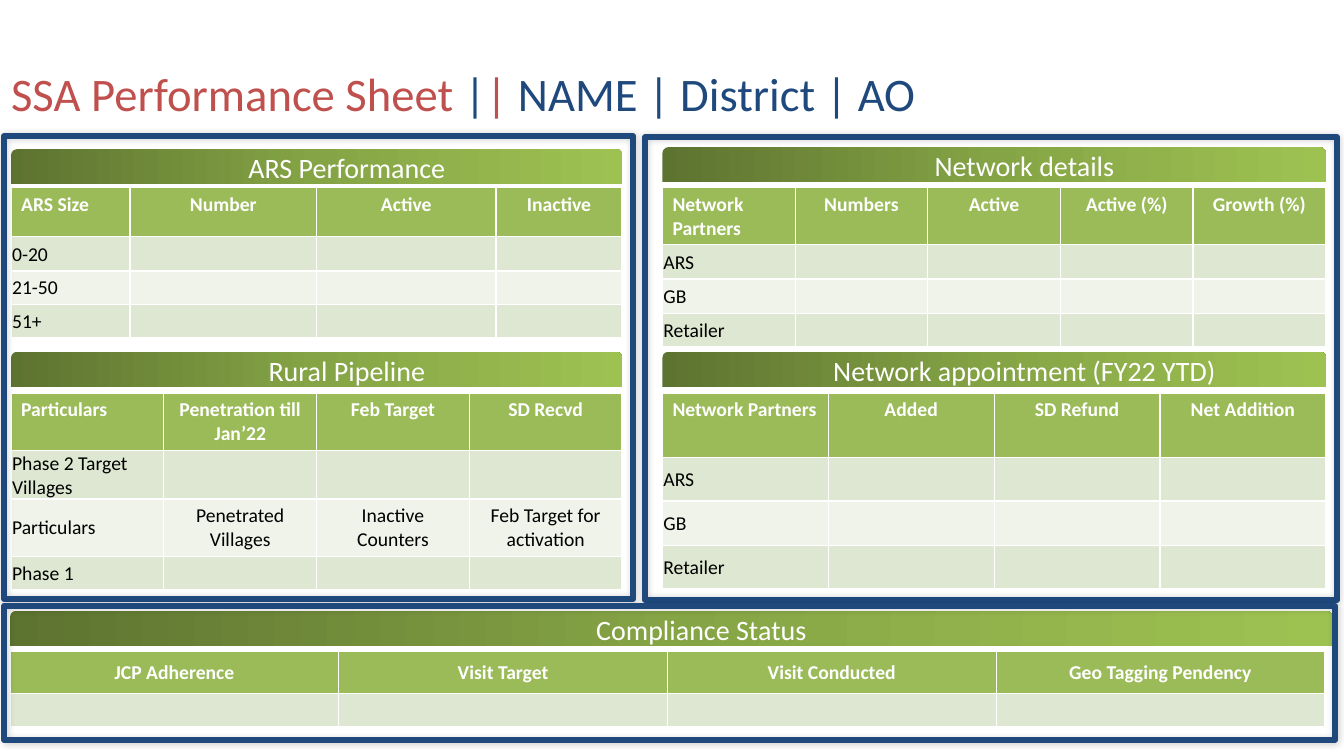
from copy import deepcopy
from lxml import etree
from pptx import Presentation
from pptx import util as u
from pptx.dml.color import RGBColor
from pptx.enum import shapes, text
from pptx.oxml.ns import qn

HUES = {"red": "C0504D", "navy": "1F497D", "head": "9BBB59", "odd": "DEE7D1",
        "even": "EFF3EA", "white": "FFFFFF", "black": "000000",
        "dark": "5D7330", "mid": "85A445", "light": "9EC252"}


def px(n):
    return u.Emu(n * 9144)


def hue(name):
    return RGBColor.from_string(HUES[name])


def put(para, words, size=14, color="black", bold=False, mid=False):
    run = para.add_run()
    run.text = words
    run.font.name = "Calibri"
    run.font.size = u.Pt(size)
    run.font.bold = bold
    run.font.color.rgb = hue(color)
    if mid:
        para.alignment = text.PP_ALIGN.CENTER


def inset(box, *pads):
    for side, pad in zip(("left", "top", "right", "bottom"), pads):
        setattr(box, f"margin_{side}", px(pad))
    box.vertical_anchor = text.MSO_ANCHOR.MIDDLE


def title(slide):
    box = slide.shapes.add_textbox(px(11), px(62), px(1200), px(60)).text_frame
    box.word_wrap = True
    inset(box, 0, 0, 0, 0)
    for words, color in (("SSA Performance Sheet ", "red"), ("|", "navy"),
                         ("|", "red"), (" NAME | District | AO", "navy")):
        put(box.paragraphs[0], words, size=33.3, color=color)


def banner(slide, words, x, y, w):
    bar = slide.shapes.add_shape(shapes.MSO_SHAPE.ROUND_2_SAME_RECTANGLE,
                                 px(x), px(y), px(w), px(35))
    bar.shadow.inherit = False
    bar.line.fill.background()
    bar.fill.gradient()
    bar.fill.gradient_angle = 0
    stops = bar.element.spPr.find(".//" + qn("a:gsLst"))
    stops.insert(1, deepcopy(stops[0]))
    marks = ((0, "dark"), (0.5, "mid"), (1, "light"))
    for stop, (place, color) in zip(bar.fill.gradient_stops, marks):
        stop.position = place
        stop.color.rgb = hue(color)
    inset(bar.text_frame, 70, 0, 10, 0)
    put(bar.text_frame.paragraphs[0], words, size=20, color="white", mid=True)


def grid(slide, x, y, w, highs, rows, wides=None, tight=False):
    count = len(rows[0])
    table = slide.shapes.add_table(len(highs), count, px(x), px(y),
                                   px(w), px(sum(highs))).table
    for i, col in enumerate(table.columns):
        col.width = px(wides[i]) if wides else px(w) // count
    for r, high in enumerate(highs):
        table.rows[r].height = px(high)
        for c in range(count):
            words = rows[r][c] if c < len(rows[r]) else ""
            cell = table.cell(r, c)
            cell.fill.solid()
            cell.fill.fore_color.rgb = hue("odd" if r % 2 else "even" if r else "head")
            para = cell.text_frame.paragraphs[0]
            if tight if r == 0 else c == 0 or not words:
                inset(cell, 1, 1, 1, 0)
            if words:
                put(para, words, color="black" if r else "white",
                    bold=r == 0, mid=c > 0 or tight)
            else:
                para._p.get_or_add_endParaRPr().set("sz", "1400")


def frame(slide, x, y, w, h):
    box = slide.shapes.add_shape(shapes.MSO_SHAPE.RECTANGLE, px(x), px(y), px(w), px(h))
    box.fill.background()
    box.line.color.rgb = hue("navy")
    box.line.width = u.Pt(4.25)
    box.shadow.inherit = False
    glow = etree.SubElement(box.element.spPr.find(qn("a:effectLst")), qn("a:outerShdw"),
                            blurRad=str(u.Pt(5)), dist="0", dir="0", rotWithShape="0")
    tint = etree.SubElement(glow, qn("a:srgbClr"), val=HUES["black"])
    etree.SubElement(tint, qn("a:alpha"), val="20000")


def main():
    deck = Presentation()
    deck.slide_width, deck.slide_height = px(1333), px(750)
    slide = deck.slides.add_slide(deck.slide_layouts[6])
    title(slide)

    grid(slide, 657, 186, 658, [56, 34, 34, 33],
         [["Network Partners", "Numbers", "Active", "Active (%)", "Growth (%)"],
          ["ARS"], ["GB"], ["Retailer"]])
    grid(slide, 11, 186, 606, [49, 34, 33, 33],
         [["ARS Size", "Number", "Active", "Inactive"], ["0-20"], ["21-50"], ["51+"]],
         wides=[118, 185, 178, 125])
    grid(slide, 657, 390, 658, [64, 43, 44, 43],
         [["Network Partners", "Added", "SD Refund", "Net Addition"],
          ["ARS"], ["GB"], ["Retailer"]])
    grid(slide, 11, 390, 606, [57, 48, 57, 33],
         [["Particulars", "Penetration till Jan’22", "Feb Target", "SD Recvd"],
          ["Phase 2 Target Villages"],
          ["Particulars", "Penetrated Villages", "Inactive Counters",
           "Feb Target for activation"],
          ["Phase 1"]])
    grid(slide, 10, 646, 1304, [42, 33],
         [["JCP Adherence", "Visit Target", "Visit Conducted", "Geo Tagging Pendency"], []],
         tight=True)

    for words, x, y, w in (("Network details", 657, 146, 658),
                           ("ARS Performance", 11, 148, 606),
                           ("Network appointment (FY22 YTD)", 657, 349, 658),
                           ("Rural Pipeline", 11, 349, 606),
                           ("Compliance Status", 10, 606, 1311)):
        banner(slide, words, x, y, w)
    for spot in ((4, 135, 624, 459), (640, 136, 686, 459), (4, 601, 1320, 133)):
        frame(slide, *spot)
    deck.save("out.pptx")


if __name__ == "__main__":
    main()
